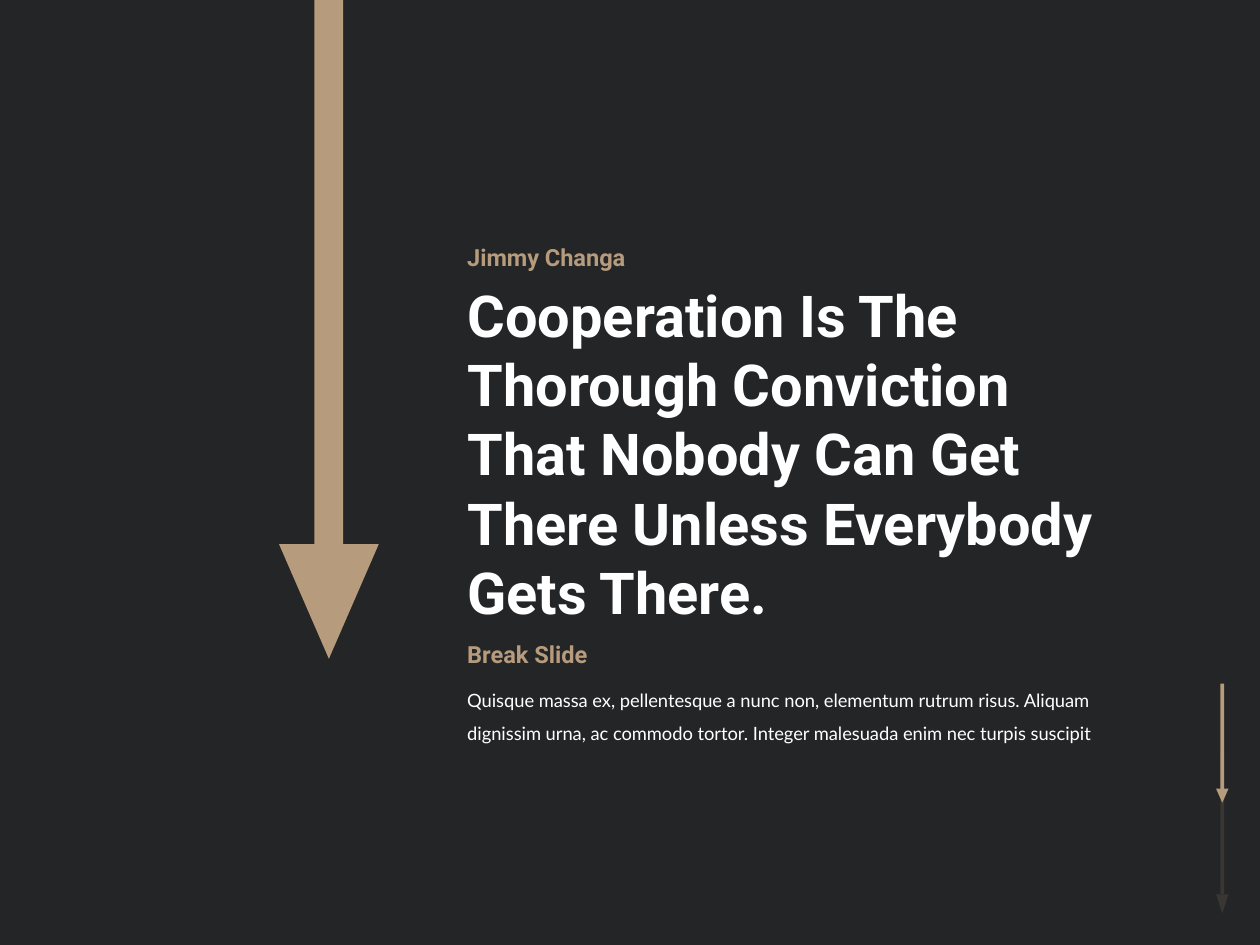
from dataclasses import dataclass

import pptx
import pptx.dml.color
import pptx.enum.shapes
import pptx.enum.text
import pptx.oxml
import pptx.oxml.ns
import pptx.util
from pptx.util import Cm, Pt

DARK = pptx.dml.color.RGBColor(0x24, 0x25, 0x27)
TAN = pptx.dml.color.RGBColor(0xB6, 0x9B, 0x7D)
WHITE = pptx.dml.color.RGBColor(0xFF, 0xFF, 0xFF)

SLIDE_WIDTH, SLIDE_HEIGHT = 25.4, 19.05
TEXT_LEFT = 9.17
VEIL_LEFT = 3.73
VEIL_OPACITY = 85

MSO_SHAPE = pptx.enum.shapes.MSO_SHAPE


@dataclass(frozen=True)
class DownArrow:
    """A shaft with a triangular head, lengths in centimetres."""
    centre: float
    shaft_top: float
    shaft_length: float
    shaft_width: float
    head_top: float
    head_length: float
    head_width: float


@dataclass(frozen=True)
class TextStyle:
    font: str
    size: float
    color: pptx.dml.color.RGBColor
    bold: bool = False
    line_spacing: float = 1.0


@dataclass(frozen=True)
class Caption:
    text: str
    top: float
    width: float
    height: float
    style: TextStyle


HEADLINE = TextStyle("Roboto", 33, WHITE, bold=True)
LABEL = TextStyle("Roboto", 13.5, TAN, bold=True)
BODY = TextStyle("Lato", 10.5, WHITE, line_spacing=1.5)

FADED_ARROW = DownArrow(24.64, 15.18, 2.84, 0.08, 18.03, 0.38, 0.25)
FRONT_ARROWS = [
    DownArrow(24.64, 13.78, 2.13, 0.08, 15.9, 0.28, 0.25),
    DownArrow(6.63, -0.42, 11.43, 0.58, 10.97, 2.31, 2.01),
]

QUOTE = Caption(
    "Cooperation Is The\nThorough Conviction\nThat Nobody Can Get\n"
    "There Unless Everybody\nGets There.",
    5.51, 14.71, 7.32, HEADLINE)
CAPTIONS = [
    Caption("Jimmy Changa", 4.78, 4.6, 0.84, LABEL),
    Caption("Quisque massa ex, pellentesque a nunc non, elementum rutrum risus. "
            "Aliquam dignissim urna, ac commodo tortor. Integer malesuada enim "
            "nec turpis suscipit", 13.54, 13.74, 1.52, BODY),
    Caption("Break Slide", 12.78, 4.24, 0.84, LABEL),
]


def add_filled(slide, kind, left: float, top: float, width: float,
               height: float, color):
    filled = slide.shapes.add_shape(kind, Cm(left), Cm(top), Cm(width), Cm(height))
    filled.shadow.inherit = False
    filled.fill.solid()
    filled.fill.fore_color.rgb = color
    filled.line.fill.background()
    return filled


def draw_arrow(slide, arrow: DownArrow) -> None:
    add_filled(slide, MSO_SHAPE.RECTANGLE, arrow.centre - arrow.shaft_width / 2,
               arrow.shaft_top, arrow.shaft_width, arrow.shaft_length, TAN)
    head = add_filled(slide, MSO_SHAPE.ISOSCELES_TRIANGLE,
                      arrow.centre - arrow.head_width / 2, arrow.head_top,
                      arrow.head_width, arrow.head_length, TAN)
    head.rotation = 180


def draw_veil(slide) -> None:
    veil = add_filled(slide, MSO_SHAPE.RECTANGLE, VEIL_LEFT, 0,
                      SLIDE_WIDTH - VEIL_LEFT, SLIDE_HEIGHT, DARK)
    color = veil.element.spPr.find(".//" + pptx.oxml.ns.qn("a:srgbClr"))
    color.append(pptx.oxml.parse_xml(
        f'<a:alpha {pptx.oxml.ns.nsdecls("a")} val="{VEIL_OPACITY * 1000}"/>'))


def write_caption(box, caption: Caption) -> None:
    box.left, box.top = Cm(TEXT_LEFT), Cm(caption.top)
    box.width, box.height = Cm(caption.width), Cm(caption.height)
    frame = box.text_frame
    frame.text = caption.text
    frame.word_wrap = True
    frame.auto_size = pptx.enum.text.MSO_AUTO_SIZE.SHAPE_TO_FIT_TEXT
    frame.vertical_anchor = pptx.enum.text.MSO_ANCHOR.TOP
    style = caption.style
    for paragraph in frame.paragraphs:
        paragraph.alignment = pptx.enum.text.PP_ALIGN.LEFT
        paragraph.line_spacing = style.line_spacing
        for run in paragraph.runs:
            run.font.name = style.font
            run.font.size = Pt(style.size)
            run.font.bold = style.bold
            run.font.color.rgb = style.color


def main() -> None:
    deck = pptx.Presentation()
    deck.slide_width, deck.slide_height = Cm(SLIDE_WIDTH), Cm(SLIDE_HEIGHT)
    slide = deck.slides.add_slide(deck.slide_layouts.get_by_name("Title Only"))
    slide.background.fill.solid()
    slide.background.fill.fore_color.rgb = DARK

    # Arrows, one of them dimmed by the veil
    draw_arrow(slide, FADED_ARROW)
    draw_veil(slide)
    for arrow in FRONT_ARROWS:
        draw_arrow(slide, arrow)

    # Quote as the title, brought in front of the veil
    quote = slide.shapes.title
    quote.element.getparent().append(quote.element)
    write_caption(quote, QUOTE)

    # Author, body text and slide label
    for caption in CAPTIONS:
        box = slide.shapes.add_textbox(0, 0, 0, 0)
        write_caption(box, caption)

    deck.save("out.pptx")


if __name__ == "__main__":
    main()
